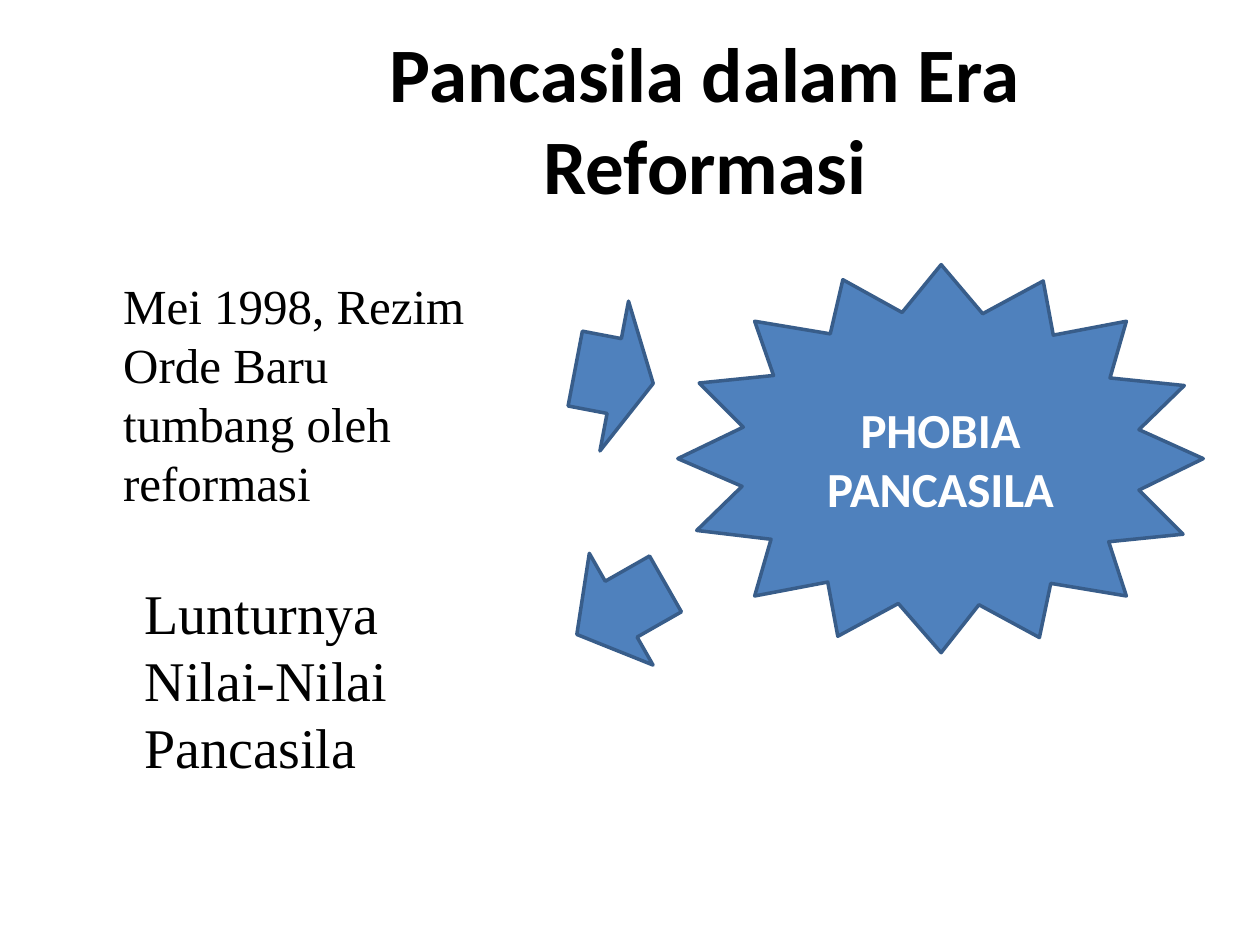
from pptx import Presentation
from pptx import util as u
from pptx.dml.color import RGBColor
from pptx.enum import shapes, text

COLS, ROWS = 100, 75
WIDTH, HEIGHT = u.Inches(10), u.Inches(7.5)

# Burst outline in grid columns and rows, alternating tip and notch
BURST = [
    (53.8, 36.4), (58.9, 38.6), (55.3, 42.1), (61.2, 42.8),
    (59.9, 47.3), (65.7, 46.2), (66.5, 50.5), (71.3, 47.9),
    (74.7, 51.8), (77.7, 48), (82.5, 50.6), (83.4, 46.3),
    (89.4, 47.3), (88, 43), (93.9, 42.4), (90.4, 38.9),
    (95.5, 36.4), (90.4, 34.1), (94, 30.6), (88.1, 30),
    (89.4, 25.5), (83.6, 26.6), (82.8, 22.3), (78, 24.9),
    (74.7, 21), (71.6, 24.8), (66.9, 22.2), (65.9, 26.5),
    (59.9, 25.5), (61.4, 29.8), (55.5, 30.4), (59, 33.9),
]


def color(hex_value):
    return RGBColor.from_string(hex_value)


def grid(col, row):
    return round(col * WIDTH / COLS), round(row * HEIGHT / ROWS)


def style_shape(s):
    s.shadow.inherit = False
    s.fill.solid()
    s.fill.fore_color.rgb = color("4F81BD")
    s.line.color.rgb = color("385D8A")
    s.line.width = u.Pt(2)


def write(s, words, hex_value, align, anchor, side=0.1, **font):
    """Put one paragraph in a shape; side is its left and right margin in inches."""
    tf = s.text_frame
    frame = dict(word_wrap=True, vertical_anchor=anchor,
                 margin_left=u.Inches(side), margin_right=u.Inches(side))
    for name, value in frame.items():
        setattr(tf, name, value)
    p = tf.paragraphs[0]
    p.alignment = align
    r = p.add_run()
    r.text = words
    r.font.color.rgb = color(hex_value)
    for name, value in font.items():
        setattr(r.font, name, value)


def add_text(slide, col, row, cols, rows, words, **fmt):
    s = slide.shapes.add_textbox(*grid(col, row), *grid(cols, rows))
    write(s, words, "000000", **fmt)


def add_arrow(slide, kind, col, row, cols, rows, rotation):
    s = slide.shapes.add_shape(kind, *grid(col, row), *grid(cols, rows))
    s.rotation = rotation
    style_shape(s)


def add_burst(slide, words, **fmt):
    points = [grid(*point) for point in BURST]
    builder = slide.shapes.build_freeform(*points[0])
    builder.add_line_segments(points[1:], close=True)
    s = builder.convert_to_shape()
    style_shape(s)
    write(s, words, "FFFFFF", **fmt)


def main():
    prs = Presentation()
    prs.slide_width, prs.slide_height = WIDTH, HEIGHT
    slide = prs.slides.add_slide(prs.slide_layouts[6])

    centred = dict(align=text.PP_ALIGN.CENTER, anchor=text.MSO_ANCHOR.MIDDLE,
                   name="Calibri", bold=True)
    body = dict(align=text.PP_ALIGN.LEFT, anchor=text.MSO_ANCHOR.TOP,
                name="Times New Roman")

    add_text(slide, 16.9, 5.4, 78.1, 7.9, "Pancasila dalam Era Reformasi",
             size=u.Pt(44), **centred)
    add_text(slide, 8.8, 21.4, 32.3, 19.7,
             "Mei 1998, Rezim Orde Baru tumbang oleh reformasi",
             size=u.Pt(28), **body)
    add_burst(slide, "PHOBIA PANCASILA", side=0.8, size=u.Pt(28), **centred)
    add_arrow(slide, shapes.MSO_SHAPE.RIGHT_ARROW, 45.6, 23.8, 6.3, 12.1, 10.8)
    add_arrow(slide, shapes.MSO_SHAPE.DOWN_ARROW, 44.2, 44.3, 10.2, 8.1, 60.3)
    add_text(slide, 10.5, 45.4, 28.9, 17, "Lunturnya Nilai-Nilai Pancasila",
             size=u.Pt(32), **body)

    prs.save("out.pptx")


if __name__ == "__main__":
    main()
